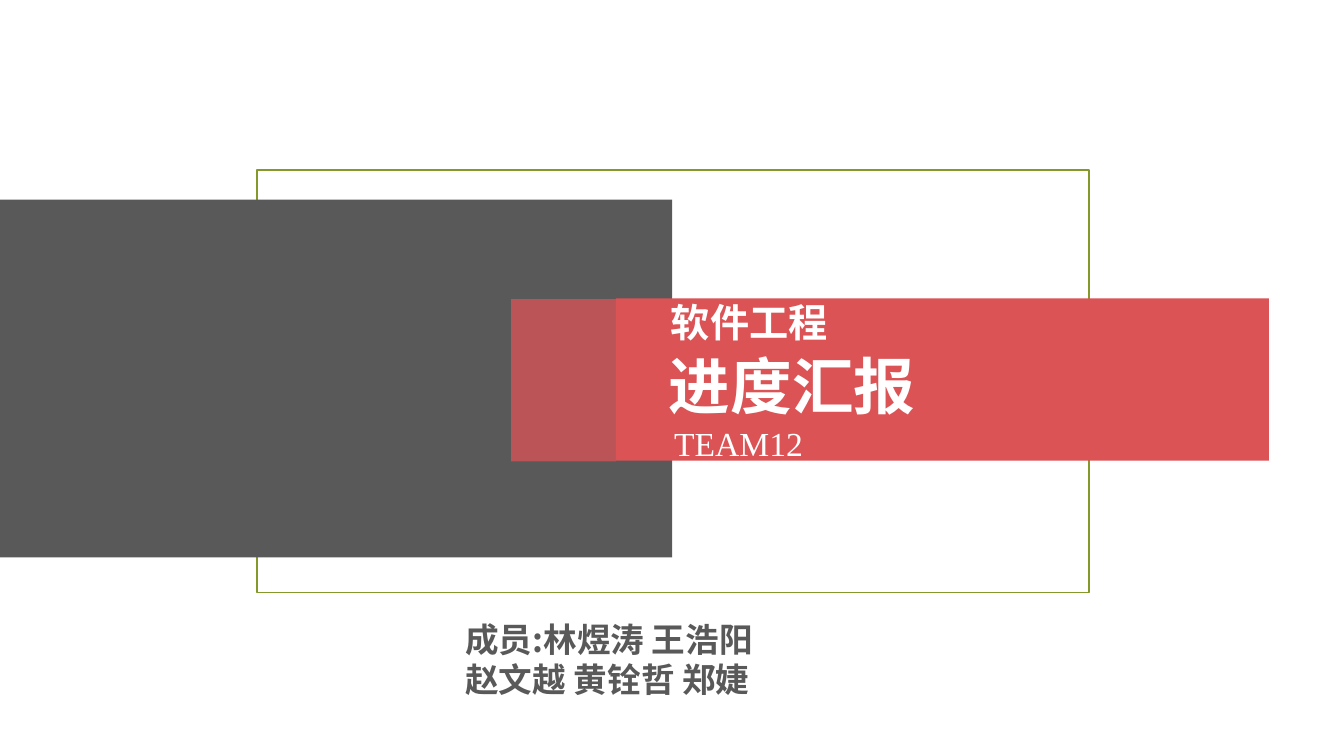
from lxml.etree import SubElement
from pptx import Presentation
from pptx.dml.color import RGBColor
from pptx.enum.shapes import MSO_SHAPE
from pptx.oxml.ns import qn
from pptx.util import Cm, Pt

GREEN, GRAY, RED, WHITE = "83992A", "595959", "DB5355", "FFFFFF"
CHINESE_FONT, LATIN_FONT = "Noto Sans CJK SC", "Times New Roman"


def color(hex_string):
    return RGBColor.from_string(hex_string)


def add_rectangle(slide, left, top, width, height, fill=None, line=None, opacity=100):
    shape = slide.shapes.add_shape(
        MSO_SHAPE.RECTANGLE, Cm(left), Cm(top), Cm(width), Cm(height))
    shape.shadow.inherit = False
    if fill:
        shape.fill.solid()
        shape.fill.fore_color.rgb = color(fill)
        if opacity < 100:
            solid_color = shape._element.spPr.find(qn("a:solidFill"))[0]
            SubElement(solid_color, qn("a:alpha"), val=str(opacity * 1000))
    else:
        shape.fill.background()
    if line:
        shape.line.color.rgb = color(line)
        shape.line.width = Pt(1.25)
    else:
        shape.line.fill.background()


def add_text(slide, left, top, width, height, lines, size, hex_string,
             font_name=CHINESE_FONT, bold=True):
    text_box = slide.shapes.add_textbox(Cm(left), Cm(top), Cm(width), Cm(height))
    frame = text_box.text_frame
    frame.word_wrap = True
    frame.text = "\n".join(lines)
    for paragraph in frame.paragraphs:
        font = paragraph.font
        font.name, font.size, font.bold = font_name, Pt(size), bold
        font.color.rgb = color(hex_string)
        # East Asian typeface
        properties = paragraph._p.pPr.find(qn("a:defRPr"))
        SubElement(properties, qn("a:ea"), typeface=font_name)


def add_backdrop(slide, left, top, width, height):
    # Outlined frame with the gray block reaching in from the slide edge
    add_rectangle(slide, left, top, width, height, line=GREEN)
    add_rectangle(slide, 0, top + 0.74, left + 10.46, 9.02, fill=GRAY)


def add_title_banner(slide, left, top, width, height):
    add_rectangle(slide, left, top, width, height, fill=RED)
    # Course, title and team
    add_text(slide, left + 1.14, top - 0.13, 4.8, 1.45, ["软件工程"], 28, WHITE)
    add_text(slide, left + 1.09, top + 1.12, 13.21, 2.13, ["进度汇报"], 44, WHITE)
    add_text(slide, left + 1.22, top + 3, 13.21, 1.27, ["TEAM12"], 24, WHITE,
             LATIN_FONT, bold=False)
    # Translucent tab on the left
    tab_width = 2.64
    add_rectangle(slide, left - tab_width, top + 0.02, tab_width, height,
                  fill=RED, opacity=75)


def add_members(slide, left, top, width, height):
    add_text(slide, left, top, width, height,
             ["成员:林煜涛 王浩阳", "赵文越 黄铨哲 郑婕"], 24, GRAY)


def main():
    presentation = Presentation()
    presentation.slide_width, presentation.slide_height = Cm(33.87), Cm(19.05)
    slide = presentation.slides.add_slide(presentation.slide_layouts[6])
    add_backdrop(slide, 6.48, 4.29, 20.96, 10.64)
    add_title_banner(slide, 15.52, 7.52, 16.46, 4.09)
    add_members(slide, 11.48, 15.47, 11.73, 2.31)
    presentation.save("out.pptx")


if __name__ == "__main__":
    main()
